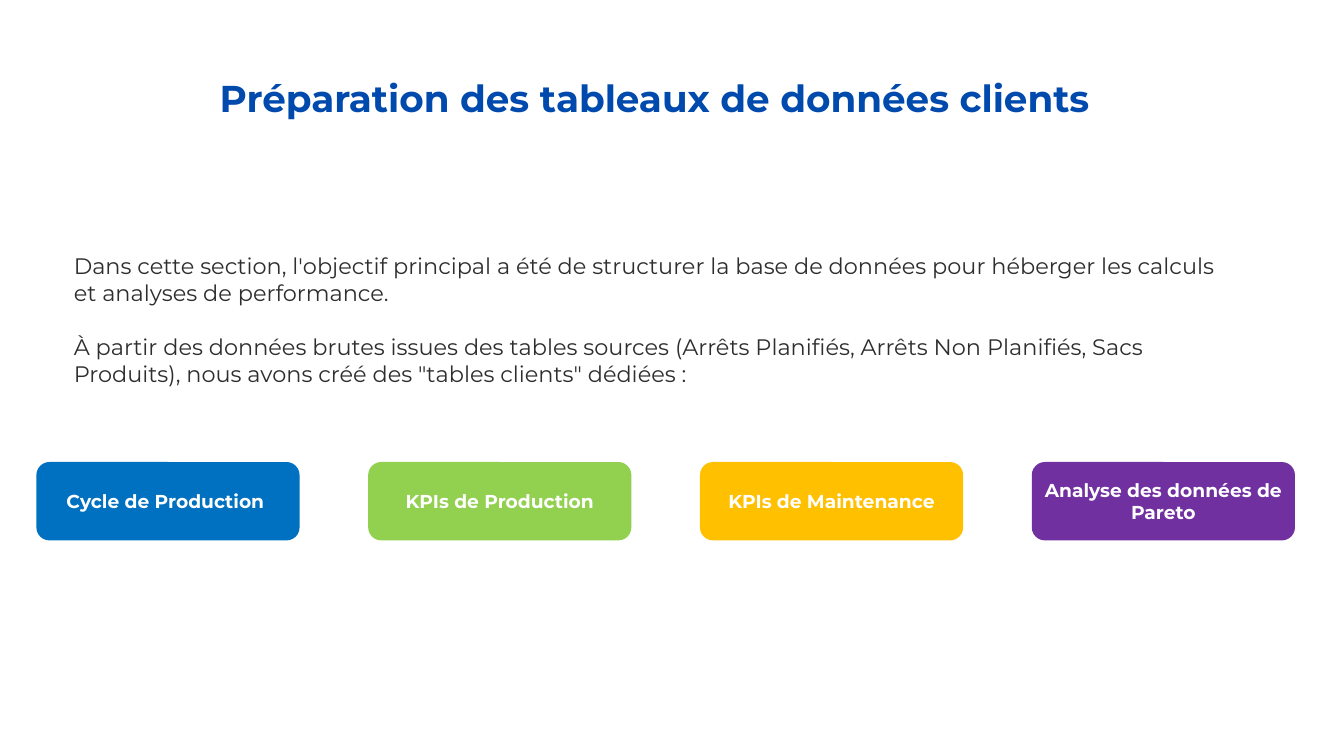
from dataclasses import dataclass

from pptx import Presentation
from pptx.dml.color import RGBColor
from pptx.enum.shapes import MSO_SHAPE
from pptx.enum.text import MSO_ANCHOR, PP_ALIGN
from pptx.slide import Slide
from pptx.text.text import TextFrame, _Paragraph
from pptx.util import Emu, Pt

FONT = "Montserrat"
EMU_PER_PX = 9525  # 96 px to the inch

TITLE_BLUE = RGBColor(0x00, 0x4A, 0xAD)
BODY_GREY = RGBColor(0x2E, 0x2E, 0x2E)
WHITE = RGBColor(0xFF, 0xFF, 0xFF)
BLUE = RGBColor(0x00, 0x70, 0xC0)
GREEN = RGBColor(0x92, 0xD0, 0x50)
AMBER = RGBColor(0xFF, 0xC0, 0x00)
PURPLE = RGBColor(0x70, 0x30, 0xA0)

CARD_LEFT, CARD_TOP = 52, 660
CARD_WIDTH, CARD_HEIGHT = 376, 112
CARD_PITCH = 474


@dataclass(frozen=True)
class ClientTable:
    label: str
    color: RGBColor


CLIENT_TABLES = [
    ClientTable("Cycle de Production ", BLUE),
    ClientTable("KPIs de Production", GREEN),
    ClientTable("KPIs de Maintenance", AMBER),
    ClientTable("Analyse des données de Pareto", PURPLE),
]

INTRODUCTION = [
    "Dans cette section, l'objectif principal a été de structurer la base de données "
    "pour héberger les calculs et analyses de performance.",
    "À partir des données brutes issues des tables sources (Arrêts Planifiés, Arrêts "
    "Non Planifiés, Sacs Produits), nous avons créé des \"tables clients\" dédiées :",
]


def px(length: int) -> Emu:
    return Emu(length * EMU_PER_PX)


def add_run(paragraph: _Paragraph, text: str, size: int, color: RGBColor,
            bold: bool = False) -> None:
    run = paragraph.add_run()
    run.text = text
    run.font.name = FONT
    run.font.size = Pt(size)
    run.font.bold = bold
    run.font.color.rgb = color


def add_text_frame(slide: Slide, left: int, top: int, width: int, height: int) -> TextFrame:
    frame = slide.shapes.add_textbox(px(left), px(top), px(width), px(height)).text_frame
    frame.word_wrap = True
    return frame


def add_title(slide: Slide) -> None:
    frame = add_text_frame(slide, 195, 28, 1480, 102)
    frame.margin_left = frame.margin_right = frame.margin_top = frame.margin_bottom = 0
    heading = frame.paragraphs[0]
    heading.alignment = PP_ALIGN.CENTER
    heading.line_spacing = 2.25
    add_run(heading, "Préparation des tableaux de données clients", 40, TITLE_BLUE, bold=True)


def add_introduction(slide: Slide) -> None:
    frame = add_text_frame(slide, 96, 356, 1688, 229)
    for index, sentence in enumerate(INTRODUCTION):
        paragraph = frame.add_paragraph() if index else frame.paragraphs[0]
        if index:
            paragraph.space_before = Pt(29)
        add_run(paragraph, sentence, 24, BODY_GREY)


def add_card(slide: Slide, table: ClientTable, left: int) -> None:
    card = slide.shapes.add_shape(MSO_SHAPE.ROUNDED_RECTANGLE, px(left), px(CARD_TOP),
                                  px(CARD_WIDTH), px(CARD_HEIGHT))
    card.shadow.inherit = False
    card.fill.solid()
    card.fill.fore_color.rgb = table.color
    card.line.fill.background()
    frame = card.text_frame
    frame.word_wrap = True
    frame.vertical_anchor = MSO_ANCHOR.MIDDLE
    label = frame.paragraphs[0]
    label.alignment = PP_ALIGN.CENTER
    add_run(label, table.label, 20, WHITE, bold=True)


def main() -> None:
    presentation = Presentation()
    presentation.slide_width = px(1920)
    presentation.slide_height = px(1080)
    slide = presentation.slides.add_slide(presentation.slide_layouts[6])

    # Title and introduction
    add_title(slide)
    add_introduction(slide)

    # Row of client tables
    for column, table in enumerate(CLIENT_TABLES):
        add_card(slide, table, CARD_LEFT + column * CARD_PITCH)

    presentation.save("out.pptx")


if __name__ == "__main__":
    main()
